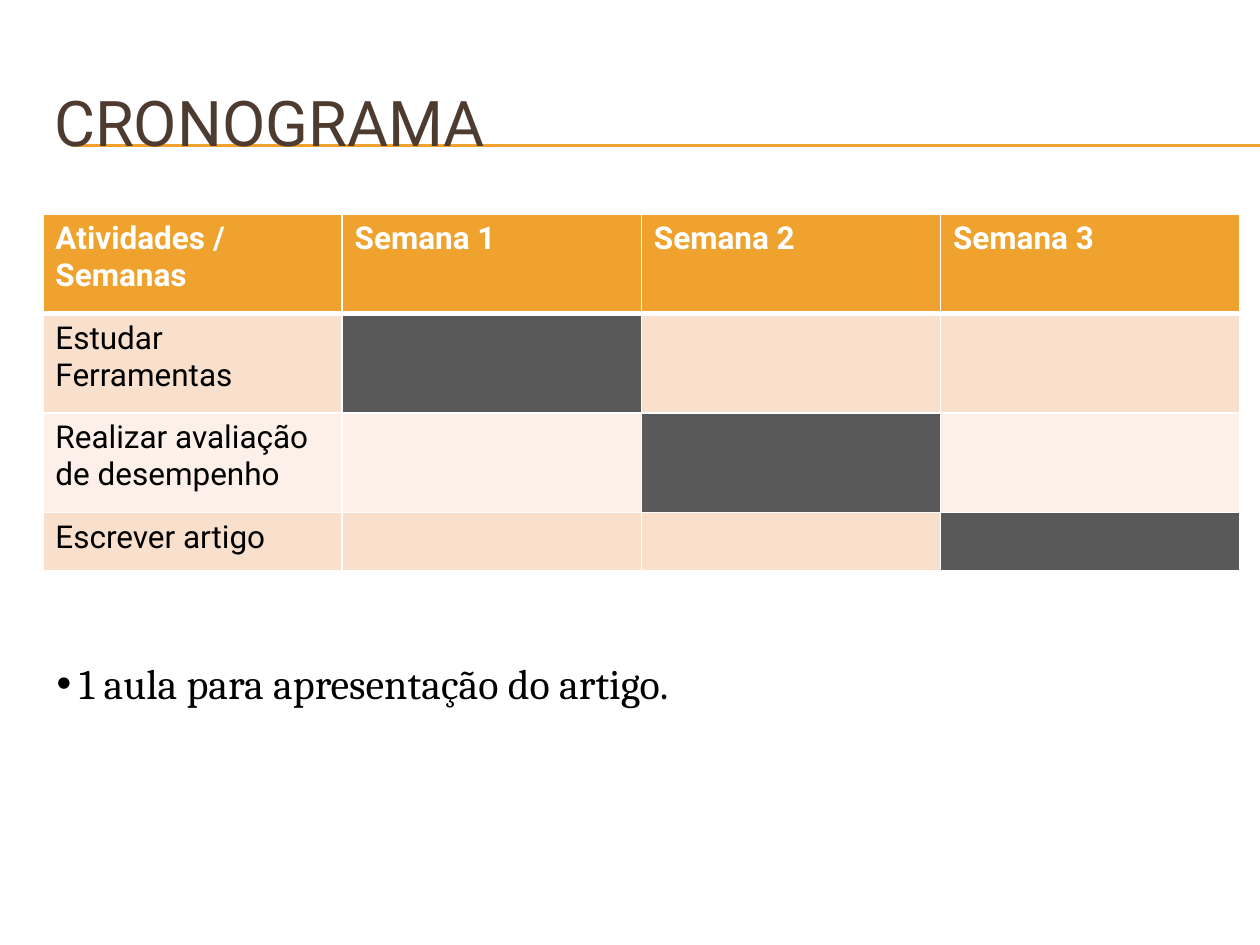
from lxml.etree import SubElement
from pptx import Presentation
from pptx.dml.color import RGBColor
from pptx.enum.shapes import MSO_CONNECTOR as CONN
from pptx.enum.text import MSO_ANCHOR as ANCHOR, PP_ALIGN as ALIGN
from pptx.oxml.ns import qn
from pptx.util import Inches, Pt

TITLE = "CRONOGRAMA"
HEADER = ["Atividades / Semanas", "Semana 1", "Semana 2", "Semana 3"]
# Each activity with the number of the week it takes place in
ACTIVITIES = [
    ("Estudar Ferramentas", 1),
    ("Realizar avaliação de desempenho", 2),
    ("Escrever artigo", 3),
]
NOTE = "1 aula para apresentação do artigo."

ORANGE, BROWN, GREY = "F0A22E", "4E3B30", "595959"
BANDS = ["F9E0CD", "FCF0E8"]
WHITE, BLACK = "FFFFFF", "000000"
COL_WIDTH = 2.375
ROW_HEIGHTS = [0.79, 0.79, 0.79, 0.46]


def rgb(color):
    """Turn a hex string into a colour."""
    return RGBColor.from_string(color)


def style(p, size, font, color, bold=False):
    """Set the font of a whole paragraph."""
    p.alignment = ALIGN.LEFT
    p.font.size, p.font.name, p.font.bold = Pt(size), font, bold
    p.font.color.rgb = rgb(color)


def add_rule(s, y):
    """Draw a thin horizontal line running to the right edge."""
    line = s.shapes.add_connector(CONN.STRAIGHT, Inches(0.56), Inches(y),
                                  Inches(10), Inches(y))
    line.line.color.rgb = rgb(ORANGE)
    line.line.width = Pt(0.75)
    SubElement(line._element.spPr, qn("a:effectLst"))


def set_borders(cell, bottom, top):
    """Give a cell white borders; bottom and top widths in points."""
    tc_pr = cell._tc.get_or_add_tcPr()
    widths = {"a:lnL": 1, "a:lnR": 1, "a:lnT": top, "a:lnB": bottom}
    for i, (tag, width) in enumerate(widths.items()):
        ln = tc_pr.makeelement(qn(tag), {"w": str(Pt(width))})
        fill = SubElement(ln, qn("a:solidFill"))
        SubElement(fill, qn("a:srgbClr"), val=WHITE)
        tc_pr.insert(i, ln)


def fill_cell(cell, text, fill, color, bold):
    """Fill a cell and write its text."""
    cell.fill.solid()
    cell.fill.fore_color.rgb = rgb(fill)
    p = cell.text_frame.paragraphs[0]
    p.text = text
    style(p, 18, "Roboto", color, bold)


def add_schedule(s):
    """Add the table of activities by week."""
    rows, cols = len(ROW_HEIGHTS), len(HEADER)
    table = s.shapes.add_table(rows, cols, Inches(0.34), Inches(1.7),
                               Inches(COL_WIDTH * cols),
                               Inches(sum(ROW_HEIGHTS))).table
    for col in table.columns:
        col.width = Inches(COL_WIDTH)
    for row, height in zip(table.rows, ROW_HEIGHTS):
        row.height = Inches(height)
    for c, text in enumerate(HEADER):
        fill_cell(table.cell(0, c), text, ORANGE, WHITE, True)
        set_borders(table.cell(0, c), bottom=3, top=1)
    for r, (activity, week) in enumerate(ACTIVITIES, 1):
        for c in range(cols):
            cell = table.cell(r, c)
            fill = GREY if c == week else BANDS[(r - 1) % 2]
            fill_cell(cell, activity if c == 0 else "", fill, BLACK, False)
            set_borders(cell, bottom=1, top=3 if r == 1 else 1)


def add_note(s):
    """Add the bulleted note under the table."""
    box = s.shapes.add_textbox(Inches(0.35), Inches(5.17),
                               Inches(9.45), Inches(0.5))
    box.text_frame.word_wrap = True
    p = box.text_frame.paragraphs[0]
    p.text = NOTE
    style(p, 24, "Cambria", BLACK)
    p_pr = p._p.get_or_add_pPr()
    indent = Inches(0.18)
    p_pr.set("marL", str(indent))
    p_pr.set("indent", str(-indent))
    bullet_font = p_pr.makeelement(qn("a:buFont"), {"typeface": "Arial"})
    bullet = p_pr.makeelement(qn("a:buChar"), {"char": "•"})
    p_pr.insert(0, bullet_font)
    p_pr.insert(1, bullet)


prs = Presentation()
prs.slide_width, prs.slide_height = Inches(10), Inches(7.5)
s = prs.slides.add_slide(prs.slide_layouts[5])

for y in (1.15, 1.16):
    add_rule(s, y)

title = s.shapes.title
s.shapes._spTree.append(title._element)  # bring the title above the rules
title.left, title.top = Inches(0.33), Inches(0.5)
title.width, title.height = Inches(9.5), Inches(0.92)
title.text_frame.text = TITLE
title.text_frame.vertical_anchor = ANCHOR.MIDDLE
style(title.text_frame.paragraphs[0], 36, "Roboto", BROWN)

add_schedule(s)
add_note(s)
prs.save("out.pptx")
